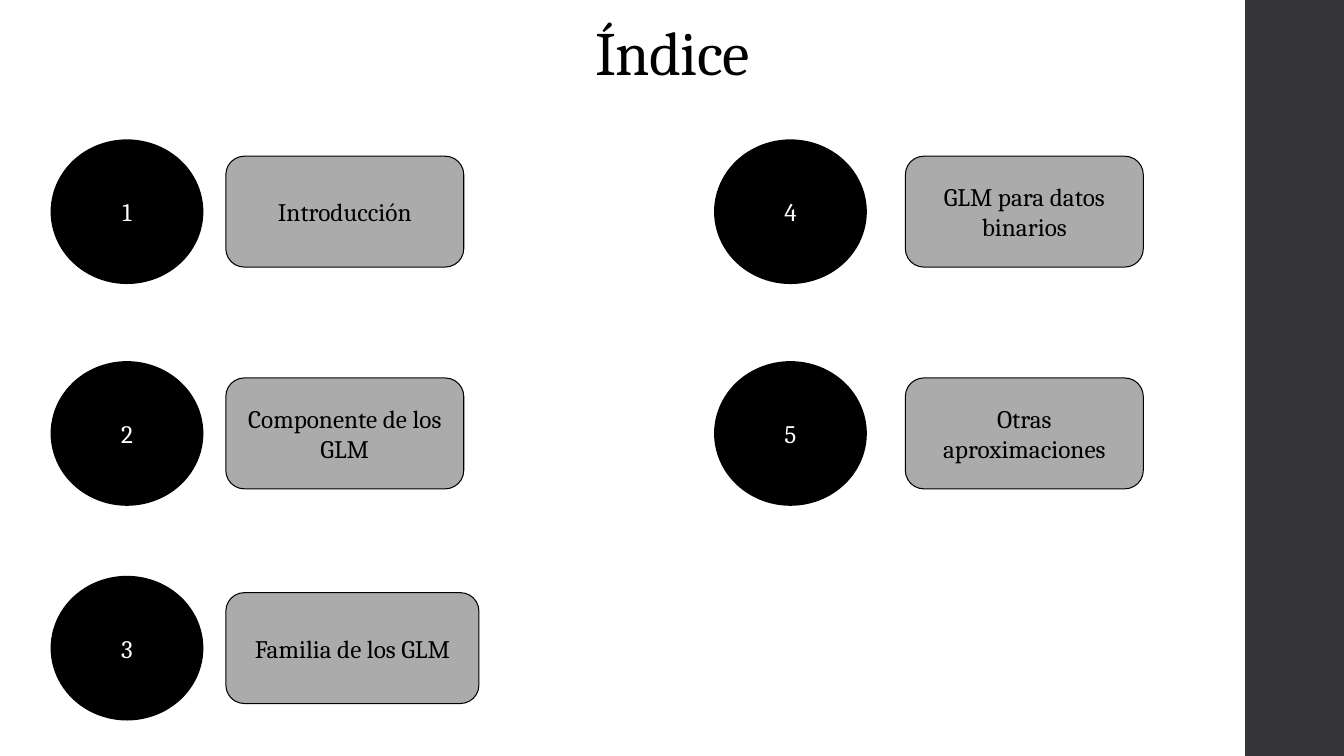
from dataclasses import dataclass

from pptx import Presentation
from pptx.dml.color import RGBColor
from pptx.enum.shapes import MSO_SHAPE as Shape
from pptx.enum.text import MSO_ANCHOR as Anchor, PP_ALIGN as Align
from pptx.util import Inches, Pt

HEADING = "Índice"
COLUMNS = [
    {"number_left": 0.51, "topic_left": 2.24,
     "topics": [("Introducción", 2.36), ("Componente de los GLM", 2.36),
                ("Familia de los GLM", 2.51)]},
    {"number_left": 7.09, "topic_left": 8.98,
     "topics": [("GLM para datos binarios", 2.36), ("Otras aproximaciones", 2.36)]},
]
ROW_TOPS = [1.39, 3.59, 5.72]
NUMBER_WIDTH, NUMBER_HEIGHT = 1.5, 1.42
TOPIC_HEIGHT = 1.1


@dataclass(frozen=True)
class Theme:
    font: str = "Cambria"
    black: RGBColor = RGBColor(0x00, 0x00, 0x00)
    white: RGBColor = RGBColor(0xFF, 0xFF, 0xFF)
    gray: RGBColor = RGBColor(0xAB, 0xAB, 0xAB)
    band: RGBColor = RGBColor(0x35, 0x35, 0x37)
    heading_size: int = 44
    body_size: int = 18


THEME = Theme()


def write(frame, text, size, color, anchor=Anchor.MIDDLE):
    frame.word_wrap = True
    frame.vertical_anchor = anchor
    paragraph = frame.paragraphs[0]
    paragraph.alignment = Align.CENTER
    run = paragraph.add_run()
    run.text = text
    run.font.name = THEME.font
    run.font.size = Pt(size)
    run.font.color.rgb = color
    return paragraph, run


def add_block(slide, preset, box, fill, line_width=None):
    block = slide.shapes.add_shape(preset, *map(Inches, box))
    block.shadow.inherit = False
    block.fill.solid()
    block.fill.fore_color.rgb = fill
    if line_width is None:
        block.line.fill.background()
    else:
        block.line.color.rgb = THEME.black
        block.line.width = Pt(line_width)
    return block


def add_heading(slide):
    heading = slide.shapes.title
    heading.left, heading.top = Inches(1.37), Inches(0)
    heading.width, heading.height = Inches(10.6), Inches(0.93)
    paragraph, run = write(heading.text_frame, HEADING, THEME.heading_size,
                           THEME.black, Anchor.BOTTOM)
    paragraph.line_spacing = 0.9
    run.font._element.set("spc", "-50")


def add_entry(slide, number, topic, number_left, topic_left, topic_width, top):
    badge = add_block(slide, Shape.OVAL,
                      (number_left, top, NUMBER_WIDTH, NUMBER_HEIGHT), THEME.black, 1.1)
    write(badge.text_frame, str(number), THEME.body_size, THEME.white)
    topic_top = top + (NUMBER_HEIGHT - TOPIC_HEIGHT) / 2
    label = add_block(slide, Shape.ROUNDED_RECTANGLE,
                      (topic_left, topic_top, topic_width, TOPIC_HEIGHT), THEME.gray, 0.75)
    write(label.text_frame, topic, THEME.body_size, THEME.black)


def main():
    deck = Presentation()
    deck.slide_width, deck.slide_height = Inches(13.33), Inches(7.5)
    slide = deck.slides.add_slide(deck.slide_layouts[5])
    add_block(slide, Shape.RECTANGLE, (12.35, 0, 0.98, 7.5), THEME.band)
    add_heading(slide)
    number = 0
    for column in COLUMNS:
        for top, (topic, width) in zip(ROW_TOPS, column["topics"]):
            number += 1
            add_entry(slide, number, topic, column["number_left"],
                      column["topic_left"], width, top)
    deck.save("out.pptx")


if __name__ == "__main__":
    main()
